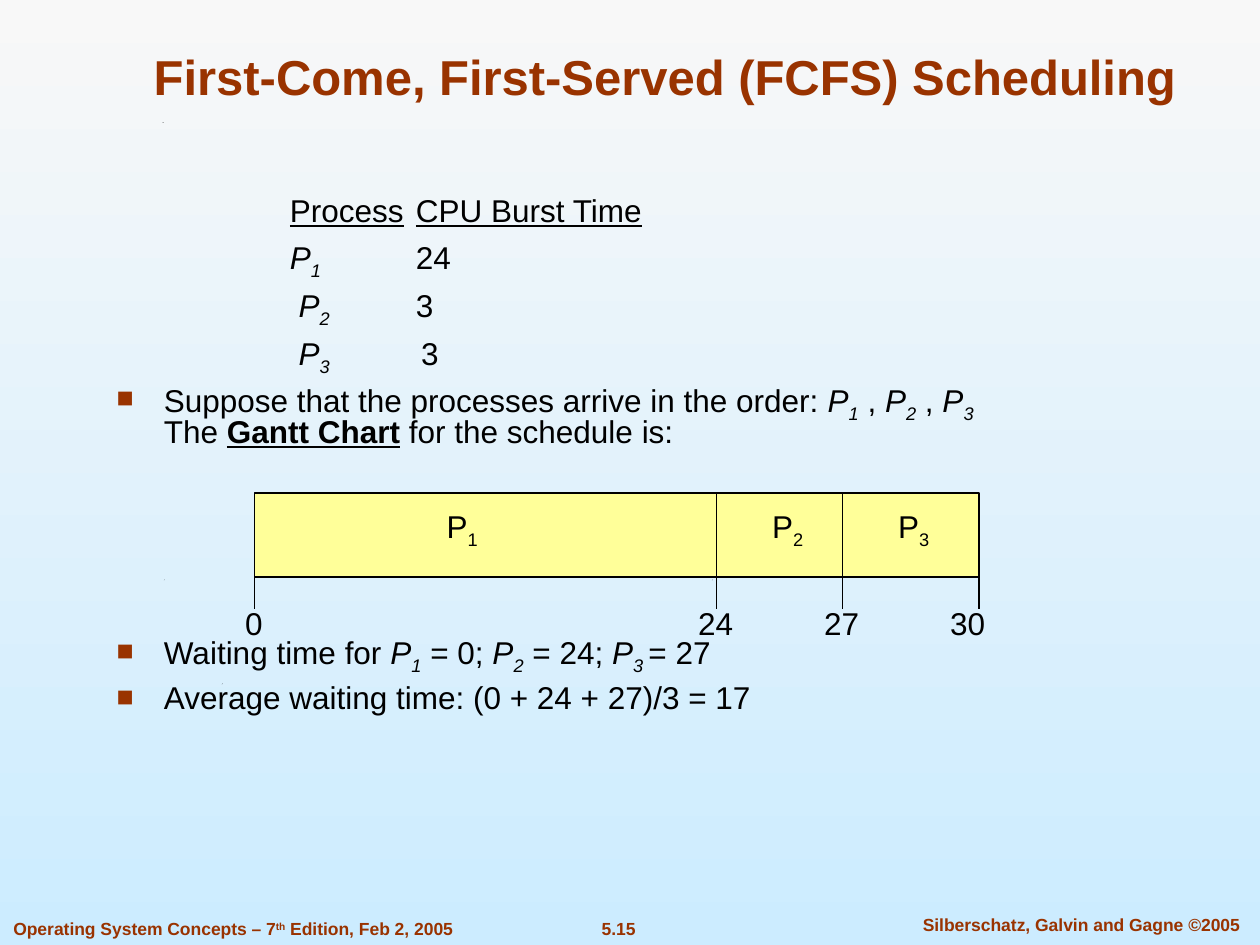
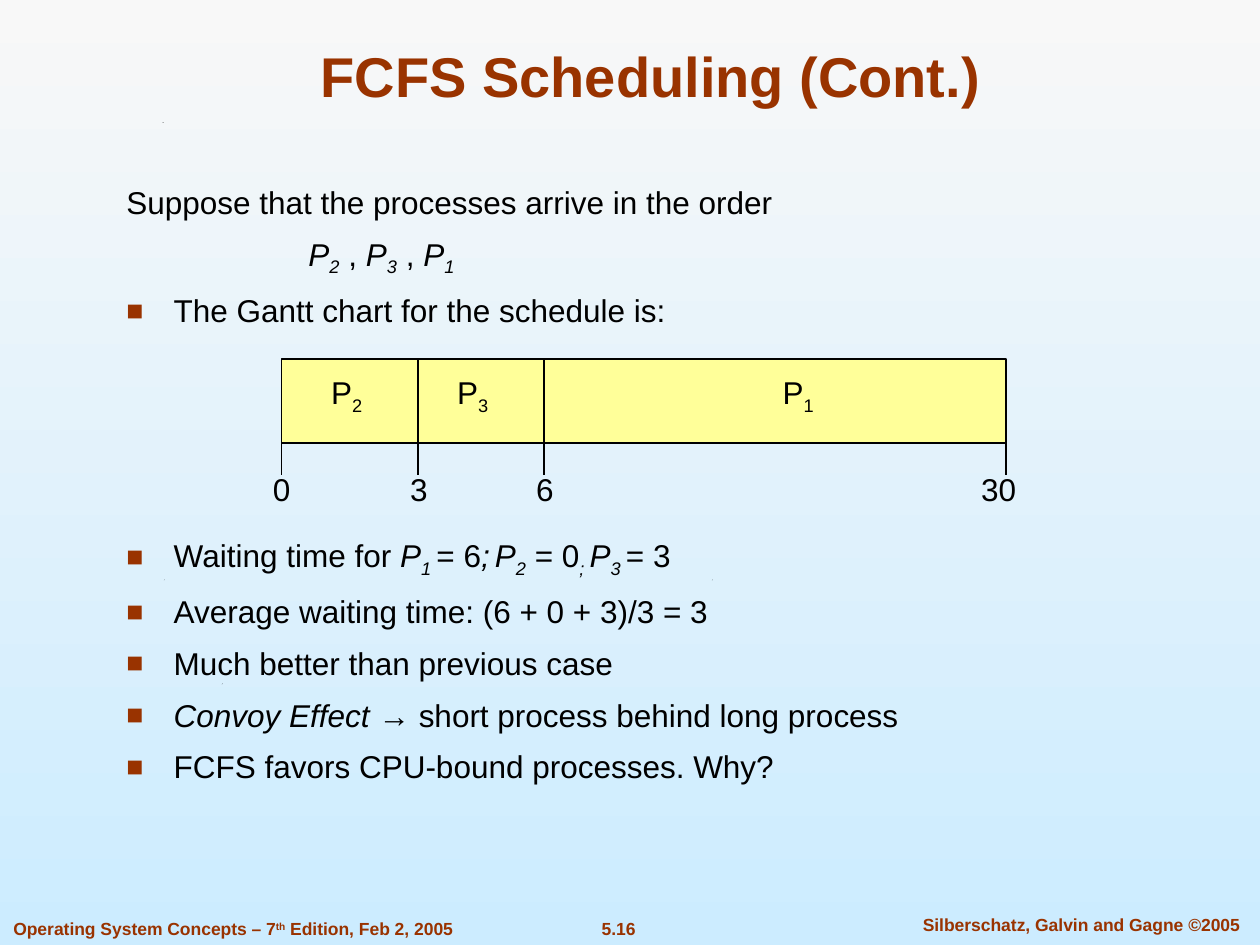
"""Build two slides on first-come, first-served CPU scheduling."""
from lxml import etree
from pptx import Presentation
from pptx import util as u
from pptx.dml.color import RGBColor
from pptx.enum import shapes, text
from pptx.oxml.ns import qn

COLORS = {
    "rust": "993300",
    "ink": "000000",
    "bar": "FFFF99",
    "sky_top": "F8F8F8",
    "sky_bottom": "CCECFF",
}
FONT = "Arial"
HANG = 27
BAR_WIDTH, BAR_HEIGHT, TICK_DROP = 414, 48, 18
SPECKS = [(126.7, 390.6), (93.6, 331.2), (406.8, 331.2), (92.9, 69.8)]


def rgb(name):
    """Return the named colour."""
    return RGBColor.from_string(COLORS[name])


def process(number):
    """Return the segments of an italic process name with its subscript."""
    return [("P", "i"), (str(number), "is")]


def write(paragraph, segments, size=18, color="ink"):
    """Add (text, style) segments; styles: b, i, u, s = subscript, t = superscript."""
    for words, style in segments:
        if words == "\n":
            paragraph.add_line_break()
            continue
        run = paragraph.add_run()
        run.text = words
        font = run.font
        font.name, font.size = FONT, u.Pt(size)
        font.color.rgb = rgb(color)
        font.bold, font.italic, font.underline = ("b" in style, "i" in style, "u" in style)
        if "s" in style:
            font._element.set("baseline", "-25000")
        elif "t" in style:
            font._element.set("baseline", "30000")


def add_text(parent, box, segments, size=18, color="ink", align="CENTER", anchor="MIDDLE", wrap=False):
    """Add a one-paragraph text box."""
    frame = parent.add_textbox(*map(u.Pt, box)).text_frame
    frame.word_wrap = wrap
    if not wrap:
        frame.auto_size = text.MSO_AUTO_SIZE.SHAPE_TO_FIT_TEXT
    frame.vertical_anchor = text.MSO_ANCHOR[anchor]
    frame.paragraphs[0].alignment = text.PP_ALIGN[align]
    write(frame.paragraphs[0], segments, size, color)


def indent(paragraph, left, bullet):
    """Indent a paragraph and give it a hanging square bullet if asked."""
    properties = paragraph._p.get_or_add_pPr()
    properties.set("marL", str(u.Pt(left)))
    properties.set("indent", str(u.Pt(-HANG if bullet else 0)))
    if bullet:
        tint = etree.SubElement(properties, qn("a:buClr"))
        etree.SubElement(tint, qn("a:srgbClr"), val=COLORS["rust"])
        etree.SubElement(properties, qn("a:buSzPct"), val="90000")
        etree.SubElement(properties, qn("a:buFont"), typeface=FONT)
        etree.SubElement(properties, qn("a:buChar"), char="■")


def add_body(slide, box, lines, spacing):
    """Add the body from (segments, left indent, bullet, space before) lines."""
    frame = slide.shapes.add_textbox(*map(u.Pt, box)).text_frame
    frame.word_wrap = True
    for index, (segments, left, bullet, before) in enumerate(lines):
        paragraph = frame.add_paragraph() if index else frame.paragraphs[0]
        indent(paragraph, left, bullet)
        paragraph.line_spacing = spacing
        paragraph.space_before = u.Pt(before if index else 0)
        write(paragraph, segments)


def add_rule(parent, x, top, bottom):
    """Add a thin vertical line."""
    rule = parent.add_connector(shapes.MSO_CONNECTOR.STRAIGHT, *map(u.Pt, (x, top, x, bottom)))
    rule.line.color.rgb = rgb("ink")
    rule.line.width = u.Pt(0.75)
    etree.SubElement(rule._element.spPr, qn("a:effectLst"))


def add_specks(slide):
    """Add the tiny dark triangles scattered over the background."""
    for x, y in SPECKS:
        outline = slide.shapes.build_freeform(u.Pt(x), u.Pt(y + 0.4))
        outline.add_line_segments([(u.Pt(x + 0.6), u.Pt(y)), (u.Pt(x + 0.3), u.Pt(y + 0.4))])
        speck = outline.convert_to_shape()
        speck.shadow.inherit = False
        speck.fill.solid()
        speck.fill.fore_color.rgb = rgb("ink")
        speck.line.fill.background()


def add_gantt(slide, left, top, bursts, ticks):
    """Add a Gantt bar with (process, centre) bursts and (time, x, label x) ticks."""
    parts = slide.shapes.add_group_shape().shapes
    bar = parts.add_shape(shapes.MSO_SHAPE.RECTANGLE, *map(u.Pt, (left, top, BAR_WIDTH, BAR_HEIGHT)))
    bar.shadow.inherit = False
    bar.fill.solid()
    bar.fill.fore_color.rgb = rgb("bar")
    bar.line.color.rgb = rgb("ink")
    bar.line.width = u.Pt(0.75)
    for number, centre in bursts:
        add_text(parts, (left + centre - 16, top + 4.3, 32, 32), [("P", ""), (str(number), "s")])
    bottom = top + BAR_HEIGHT
    for time, x, label_x in ticks:
        if 0 < x < BAR_WIDTH:
            add_rule(parts, left + x, top, bottom)
        add_rule(parts, left + x, bottom, bottom + TICK_DROP)
        width = 14.4 + 10 * len(str(time))
        add_text(parts, (left + label_x - width / 2, top + 59.7, width, 29), [(str(time), "")])


def add_frame(deck, title_box, title, title_size, page):
    """Add a slide with its specks, title and footers."""
    slide = deck.slides.add_slide(deck.slide_layouts[6])
    add_specks(slide)
    add_text(slide.shapes, title_box, [(title, "b")], title_size, "rust", anchor="BOTTOM", wrap=True)
    edition = [("Operating System Concepts – 7", "b"), ("th", "bt"), (" Edition, Feb 2, 2005", "b")]
    footer = {"size": 10, "color": "rust", "anchor": "TOP"}
    add_text(slide.shapes, (0.5, 521, 265.7, 19.4), edition, align="LEFT", **footer)
    add_text(slide.shapes, (318.2, 521, 70.6, 19.4), [(page, "b")], **footer)
    add_text(slide.shapes, (511, 518.8, 213.8, 19.4),
             [("Silberschatz, Galvin and Gagne ©2005", "b")], wrap=True, **footer)
    return slide


def add_first_order(deck):
    """Build the slide with the long process first."""
    slide = add_frame(deck, (51.6, 28, 656.6, 36), "First-Come, First-Served (FCFS) Scheduling", 28, "5.15")
    p1, p2, p3 = map(process, (1, 2, 3))
    comma = (" , ", "")
    add_body(slide, (59.6, 109.6, 595.4, 324), [
        ([("Process", "u"), ("\t", ""), ("CPU Burst Time", "u")], 99, False, 0),
        ([*p1, ("\t\t24", "")], 99, False, 7.9),
        ([(" ", ""), *p2, ("\t\t3", "")], 99, False, 7.9),
        ([(" ", ""), *p3, ("\t\t", ""), (" ", "s"), ("3", "")], 99, False, 7.9),
        ([("Suppose that the processes arrive in the order: ", ""), *p1, comma, *p2, comma, *p3,
          ("\n", ""), ("The ", ""), ("Gantt Chart", "bu"), (" for the schedule is:", "")],
         HANG, True, 7),
        ([("Waiting time for ", ""), *p1, (" = 0; ", ""), *p2, (" = 24; ", ""), *p3,
          (" ", "is"), ("= 27", "")], HANG, True, 107.3),
        ([("Average waiting time: (0 + 24 + 27)/3 = 17", "")], HANG, True, 7.9),
    ], 0.8)
    add_gantt(slide, 145.5, 281.8, [(1, 118.6), (2, 304.6), (3, 376.6)],
              [(0, 0, -0.4), (24, 264, 263.4), (27, 336, 335.4), (30, 414, 407.4)])


def add_second_order(deck):
    """Build the slide with the short processes first."""
    slide = add_frame(deck, (54, 17.6, 635.8, 48.2), "FCFS Scheduling (Cont.)", 32, "5.16")
    p1, p2, p3 = map(process, (1, 2, 3))
    comma = (" , ", "")
    add_body(slide, (65.2, 101, 578.9, 352.8), [
        ([("Suppose that the processes arrive in the order", "")], 0, False, 0),
        ([*p2, comma, *p3, comma, *p1], 104, False, 7.9),
        ([("The Gantt chart for the schedule is:", "")], HANG, True, 7.9),
        ([("Waiting time for ", ""), *p1, (" ", "is"), ("= 6", ""), (";", "i"), (" ", "is"), *p2,
          (" = 0", ""), ("; ", "is"), *p3, (" ", "is"), ("= 3", "")], HANG, True, 118),
        ([("Average waiting time: (6 + 0 + 3)/3 = 3", "")], HANG, True, 7.9),
        ([("Much better than previous case", "")], HANG, True, 7.9),
        ([("Convoy Effect ", "i"), ("→ short process behind long process", "")], HANG, True, 7.9),
        ([("FCFS favors CPU-bound processes. Why?", "")], HANG, True, 7.9),
    ], 1.0)
    add_gantt(slide, 160.9, 205.2, [(2, 37.2), (3, 109.2), (1, 295.2)],
              [(0, 0, 0), (3, 78, 78.4), (6, 150, 150.4), (30, 414, 409.7)])


def main():
    """Set up the deck, build both slides and save."""
    deck = Presentation()
    deck.slide_width, deck.slide_height = u.Pt(720), u.Pt(540)
    sky = deck.slide_master.background.fill
    sky.gradient()
    sky.gradient_angle = 270
    for stop, name in zip(sky.gradient_stops, ("sky_top", "sky_bottom")):
        stop.color.rgb = rgb(name)
    add_first_order(deck)
    add_second_order(deck)
    deck.save("out.pptx")


if __name__ == "__main__":
    main()
